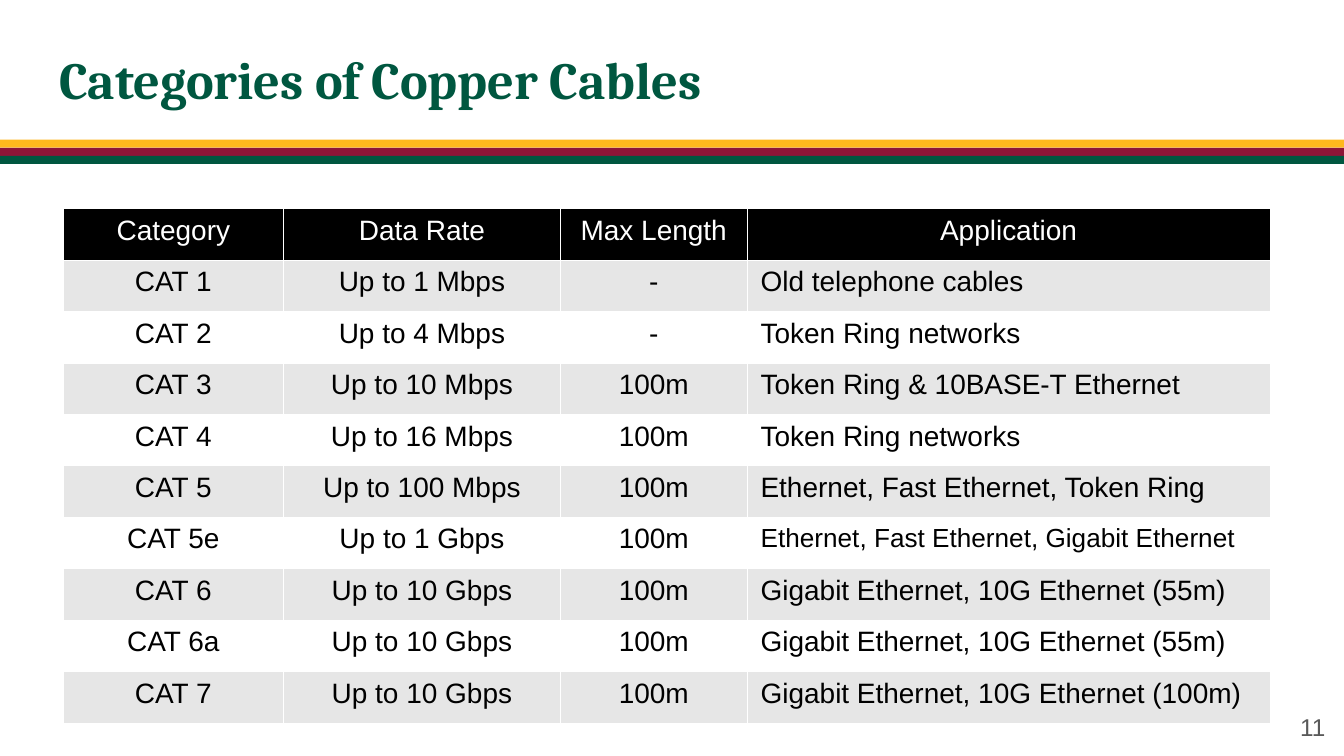
from lxml import etree
from pptx import Presentation
from pptx.dml.color import RGBColor
from pptx.enum.shapes import MSO_SHAPE
from pptx.enum.text import MSO_ANCHOR, PP_ALIGN
from pptx.oxml.ns import qn
from pptx.util import Inches, Pt

RECTANGLE = MSO_SHAPE.RECTANGLE
TOP, MIDDLE = MSO_ANCHOR.TOP, MSO_ANCHOR.MIDDLE
LEFT, CENTER, RIGHT = PP_ALIGN.LEFT, PP_ALIGN.CENTER, PP_ALIGN.RIGHT

COLORS = {
    "green": "005740",
    "maroon": "8E1537",
    "gold": "FFB81D",
    "black": "000000",
    "white": "FFFFFF",
    "band": "E6E6E6",
    "grey": "595959",
}
FORMATS = {
    "title": {"name": "Cambria", "size": Pt(28), "bold": True},
    "cell": {"name": "Arial", "size": Pt(15), "bold": False},
    "small cell": {"name": "Arial", "size": Pt(14), "bold": False},
    "number": {"name": "Arial", "size": Pt(13)},
}
COLUMN_WIDTHS = [1.64, 2.06, 1.39, 3.89]
BORDER_WIDTH = Pt(0.06)
CABLES = [
    ("Category", "Data Rate", "Max Length", "Application"),
    ("CAT 1", "Up to 1 Mbps", "-", "Old telephone cables"),
    ("CAT 2", "Up to 4 Mbps", "-", "Token Ring networks"),
    ("CAT 3", "Up to 10 Mbps", "100m", "Token Ring & 10BASE-T Ethernet"),
    ("CAT 4", "Up to 16 Mbps", "100m", "Token Ring networks"),
    ("CAT 5", "Up to 100 Mbps", "100m", "Ethernet, Fast Ethernet, Token Ring"),
    ("CAT 5e", "Up to 1 Gbps", "100m", "Ethernet, Fast Ethernet, Gigabit Ethernet"),
    ("CAT 6", "Up to 10 Gbps", "100m", "Gigabit Ethernet, 10G Ethernet (55m)"),
    ("CAT 6a", "Up to 10 Gbps", "100m", "Gigabit Ethernet, 10G Ethernet (55m)"),
    ("CAT 7", "Up to 10 Gbps", "100m", "Gigabit Ethernet, 10G Ethernet (100m)"),
]
SMALL_TEXT = "Ethernet, Fast Ethernet, Gigabit Ethernet"


def color(name):
    return RGBColor.from_string(COLORS[name])


def write(text_frame, text, style, color_name, alignment):
    paragraph = text_frame.paragraphs[0]
    paragraph.alignment = alignment
    run = paragraph.add_run()
    run.text = text
    for attribute, value in FORMATS[style].items():
        setattr(run.font, attribute, value)
    run.font.color.rgb = color(color_name)


def set_frame(text_frame, anchor):
    """Wrap the text, anchor it and use even insets."""
    text_frame.word_wrap = True
    text_frame.vertical_anchor = anchor
    for side in ("left", "top", "right", "bottom"):
        setattr(text_frame, f"margin_{side}", Inches(0.1))


def add_stripes(slide, left, top, width, height):
    names = ["gold", "maroon", "green"]
    stripe_height = height / len(names)
    for index, name in enumerate(names):
        stripe = slide.shapes.add_shape(
            RECTANGLE, Inches(left), Inches(top + index * stripe_height),
            Inches(width), Inches(stripe_height))
        stripe.shadow.inherit = False
        stripe.fill.solid()
        stripe.fill.fore_color.rgb = color(name)
        stripe.line.fill.background()


def set_title(slide, left, top, width, height):
    title = slide.shapes.title
    title.left, title.top = Inches(left), Inches(top)
    title.width, title.height = Inches(width), Inches(height)
    set_frame(title.text_frame, TOP)
    write(title.text_frame, "Categories of Copper Cables", "title", "green", LEFT)


def add_cell_borders(cell):
    properties = cell._tc.get_or_add_tcPr()
    for side in ("lnL", "lnR", "lnT", "lnB"):
        line = etree.SubElement(properties, qn(f"a:{side}"), w=str(int(BORDER_WIDTH)))
        fill = etree.SubElement(line, qn("a:solidFill"))
        etree.SubElement(fill, qn("a:srgbClr"), val=COLORS["white"])


def add_cable_table(slide, left, top, width, height):
    table = slide.shapes.add_table(
        len(CABLES), len(COLUMN_WIDTHS), Inches(left), Inches(top),
        Inches(width), Inches(height)).table
    table.first_row = table.horz_banding = False
    for column, share in zip(table.columns, COLUMN_WIDTHS):
        column.width = Inches(width * share / sum(COLUMN_WIDTHS))
    for row_index, values in enumerate(CABLES):
        header = row_index == 0
        fill_name = "black" if header else "band" if row_index % 2 else "white"
        for column_index, value in enumerate(values):
            cell = table.cell(row_index, column_index)
            add_cell_borders(cell)
            cell.fill.solid()
            cell.fill.fore_color.rgb = color(fill_name)
            is_application = column_index == len(values) - 1
            write(cell.text_frame, value,
                  "small cell" if value == SMALL_TEXT else "cell",
                  "white" if header else "black",
                  LEFT if is_application and not header else CENTER)


def add_slide_number(slide, left, top, width, height):
    box = slide.shapes.add_textbox(
        Inches(left), Inches(top), Inches(width), Inches(height))
    set_frame(box.text_frame, MIDDLE)
    write(box.text_frame, "11", "number", "grey", RIGHT)


def main():
    presentation = Presentation()
    presentation.slide_width = Inches(10)
    presentation.slide_height = Inches(10 * 9 / 16)
    slide = presentation.slides.add_slide(presentation.slide_layouts[5])
    add_stripes(slide, 0, 1.04, 10, 0.18)
    set_title(slide, 0.34, 0.25, 7.87, 0.74)
    add_cable_table(slide, 0.47, 1.55, 8.98, 3.83)
    add_slide_number(slide, 9.36, 5.19, 0.6, 0.43)
    presentation.save("out.pptx")


if __name__ == "__main__":
    main()
